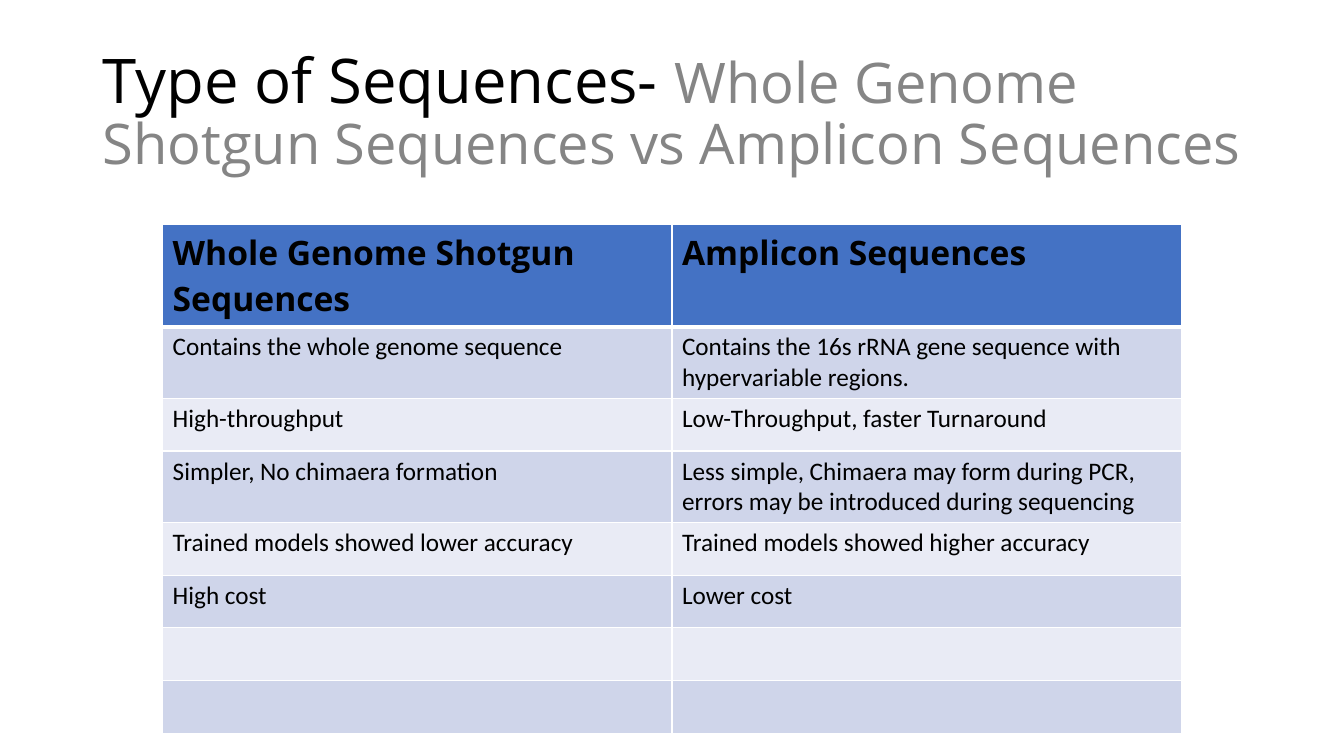
from lxml.etree import SubElement
from pptx import Presentation
from pptx.dml.color import RGBColor
from pptx.enum.text import MSO_ANCHOR, MSO_AUTO_SIZE, PP_ALIGN
from pptx.oxml.ns import qn
from pptx.util import Pt

TITLE_RUNS = [
    ("Type of Sequences- ", 44, "000000"),
    ("Whole Genome Shotgun Sequences vs Amplicon Sequences", 40, "858585"),
]
COMPARISON = [
    ("Whole Genome Shotgun Sequences", "Amplicon Sequences"),
    ("Contains the whole genome sequence",
     "Contains the 16s rRNA gene sequence with hypervariable regions."),
    ("High-throughput", "Low-Throughput, faster Turnaround"),
    ("Simpler, No chimaera formation",
     "Less simple, Chimaera may form during PCR, errors may be introduced during sequencing"),
    ("Trained models showed lower accuracy", "Trained models showed higher accuracy"),
    ("High cost", "Lower cost"),
    ("", ""),
    ("", ""),
]


def color(hex_string):
    return RGBColor.from_string(hex_string)


class SlideBuilder:
    heading_font = "Open Sans"
    body_font = "Calibri"
    text_color = "000000"
    header_fill = "4472C4"
    band_fills = ("E9EBF5", "CFD5EA")
    border_color = "FFFFFF"

    def __init__(self, presentation):
        self.slide = presentation.slides.add_slide(presentation.slide_layouts[5])

    def add_title(self, runs, left, top, width, height):
        title = self.slide.shapes.title
        title.left, title.top = Pt(left), Pt(top)
        title.width, title.height = Pt(width), Pt(height)
        frame = title.text_frame
        frame.word_wrap = True
        frame.auto_size = MSO_AUTO_SIZE.NONE
        frame.vertical_anchor = MSO_ANCHOR.MIDDLE
        paragraph = frame.paragraphs[0]
        paragraph.alignment = PP_ALIGN.LEFT
        paragraph.line_spacing = 0.9
        paragraph.font.name = self.heading_font
        for text, size, run_color in runs:
            run = paragraph.add_run()
            run.text = text
            run.font.size = Pt(size)
            run.font.color.rgb = color(run_color)

    def add_table(self, rows, left, top, column_width, row_height):
        column_count = len(rows[0])
        table = self.slide.shapes.add_table(
            len(rows), column_count, Pt(left), Pt(top),
            Pt(column_width * column_count), Pt(row_height * len(rows))).table
        for column in table.columns:
            column.width = Pt(column_width)
        for row_index, texts in enumerate(rows):
            table.rows[row_index].height = Pt(row_height)
            for column_index, text in enumerate(texts):
                self.format_cell(table.cell(row_index, column_index), text, row_index)

    def format_cell(self, cell, text, row_index):
        is_header = row_index == 0
        self.add_borders(cell, top=3 if row_index == 1 else 1, bottom=3 if is_header else 1)
        cell.fill.solid()
        cell.fill.fore_color.rgb = color(
            self.header_fill if is_header else self.band_fills[row_index % 2])
        cell.text = text
        font = cell.text_frame.paragraphs[0].font
        font.name = self.heading_font if is_header else self.body_font
        font.size = Pt(24 if is_header else 18)
        font.bold = is_header
        font.color.rgb = color(self.text_color)

    def add_borders(self, cell, top, bottom):
        """Draw all four cell edges; call before the fill, which must follow them in the XML."""
        properties = cell._tc.get_or_add_tcPr()
        for edge, width in (("L", 1), ("R", 1), ("T", top), ("B", bottom)):
            line = SubElement(properties, qn(f"a:ln{edge}"), w=str(Pt(width)))
            fill = SubElement(line, qn("a:solidFill"))
            SubElement(fill, qn("a:srgbClr"), val=self.border_color)


def main():
    presentation = Presentation()
    presentation.slide_width, presentation.slide_height = Pt(960), Pt(540)
    builder = SlideBuilder(presentation)
    builder.add_title(TITLE_RUNS, left=66, top=28.75, width=828, height=104.4)
    builder.add_table(COMPARISON, left=116.2, top=160.6, column_width=363.8, row_height=37.6)
    presentation.save("out.pptx")


if __name__ == "__main__":
    main()
